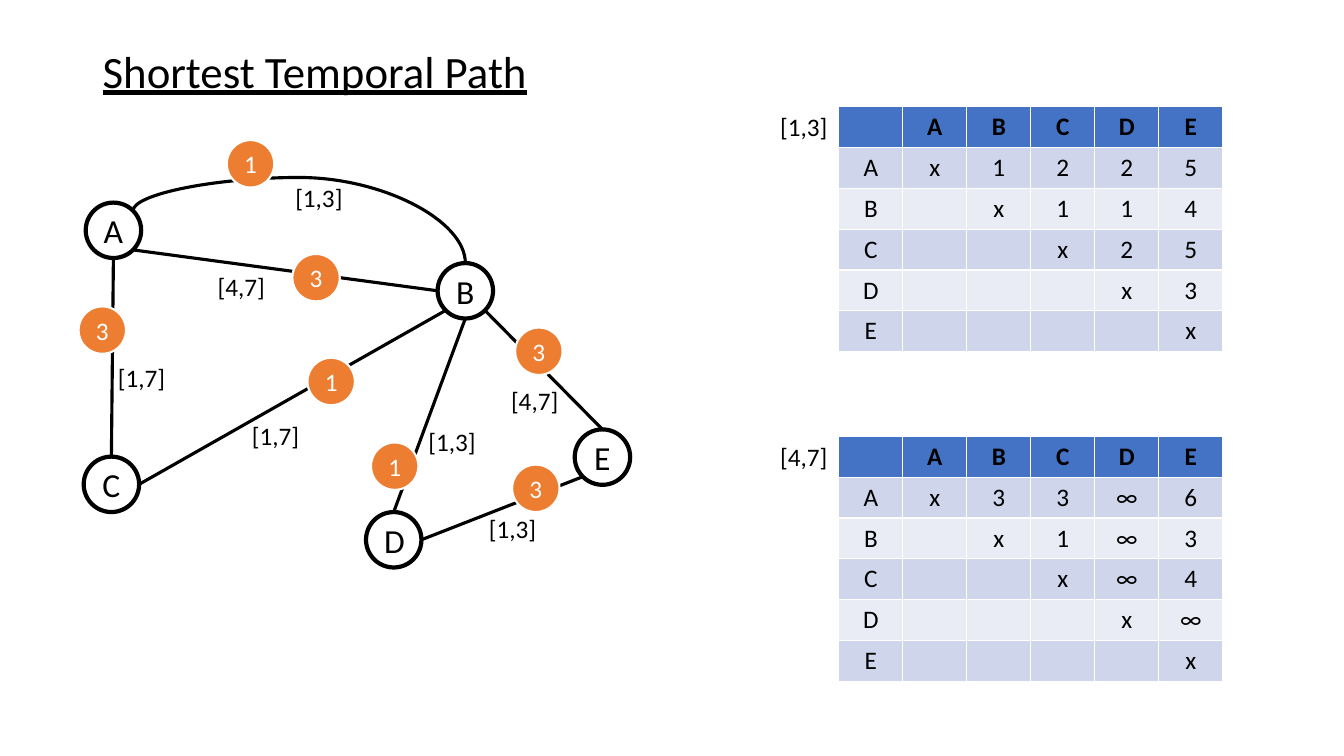
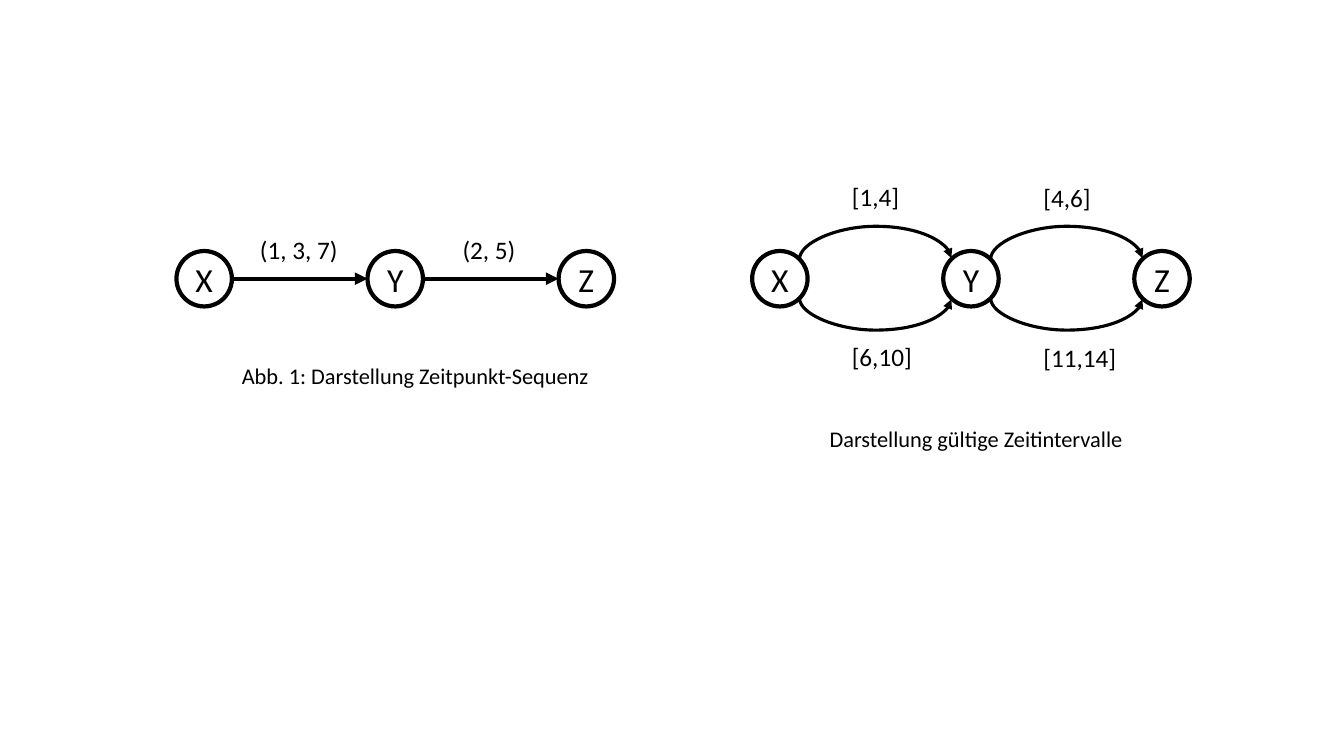
"""Build two slides on temporal graphs: shortest paths and time notations."""
from dataclasses import dataclass
from math import copysign
from typing import Dict, List, NamedTuple, Optional, Tuple

from lxml.etree import SubElement
from pptx import Presentation
from pptx.dml.color import RGBColor
from pptx.enum.shapes import MSO_CONNECTOR as CONN, MSO_SHAPE as SHAPE
from pptx.enum.text import MSO_ANCHOR as ANCHOR, MSO_AUTO_SIZE as AUTO, PP_ALIGN as ALIGN
from pptx.oxml.ns import qn
from pptx.util import Inches, Pt

COLORS: Dict[str, str] = {
    "ink": "000000", "paper": "FFFFFF", "cost": "ED7D31",
    "header": "4472C4", "band_dark": "CFD5EA", "band_light": "E9EBF5",
}
FONT = "Calibri"
NODE_SIZE, COST_SIZE = 0.55, 0.47
TABLE_LEFT, TABLE_WIDTH, TABLE_HEIGHT = 8.32, 3.81, 2.43
RADIUS = NODE_SIZE / 2
DIAGONAL = RADIUS * 0.5 ** 0.5
SITES: List[Tuple[float, float]] = [
    (0, -RADIUS), (-DIAGONAL, -DIAGONAL), (-RADIUS, 0), (-DIAGONAL, DIAGONAL),
    (0, RADIUS), (DIAGONAL, DIAGONAL), (RADIUS, 0), (DIAGONAL, -DIAGONAL),
]
TOP, TOP_LEFT, LEFT, BOTTOM_LEFT, BOTTOM, BOTTOM_RIGHT, RIGHT, TOP_RIGHT = range(8)


class Circle(NamedTuple):
    text: str
    x: float
    y: float


class Label(NamedTuple):
    text: str
    x: float
    y: float
    width: float = 0.68
    size: int = 18


@dataclass(frozen=True)
class Edge:
    start: str
    start_site: int
    end: str
    end_site: int
    peak: Optional[float] = None
    width: float = 2.25
    arrow: bool = False


class Matrix(NamedTuple):
    interval: str
    top: float
    rows: Tuple[str, ...]


def rgb(name: str) -> RGBColor:
    return RGBColor.from_string(COLORS[name])


def set_font(p, size: int, color: str = "ink", bold: bool = False) -> None:
    p.font.name, p.font.size, p.font.bold = FONT, Pt(size), bold
    p.font.color.rgb = rgb(color)


def add_title(slide, text: str) -> None:
    tf = slide.shapes.add_textbox(Inches(0.92), Inches(0.4), Inches(11.5), Inches(0.66)).text_frame
    tf.word_wrap, tf.vertical_anchor = True, ANCHOR.MIDDLE
    p = tf.paragraphs[0]
    p.text, p.line_spacing = text, 0.9
    set_font(p, 32)
    p.font.underline = True


def add_label(slide, label: Label) -> None:
    height = 0.4 if label.size == 18 else 0.37
    tf = slide.shapes.add_textbox(
        Inches(label.x), Inches(label.y), Inches(label.width), Inches(height)).text_frame
    tf.word_wrap, tf.auto_size = False, AUTO.SHAPE_TO_FIT_TEXT
    p = tf.paragraphs[0]
    p.text = label.text
    set_font(p, label.size)


def add_circle(slide, circle: Circle, size: float, fill: str, line: str,
               line_width: float, font_size: int):
    sp = slide.shapes.add_shape(SHAPE.FLOWCHART_CONNECTOR, Inches(circle.x), Inches(circle.y),
                                Inches(size), Inches(size))
    sp.shadow.inherit = False
    sp.fill.solid()
    sp.fill.fore_color.rgb = rgb(fill)
    sp.line.color.rgb, sp.line.width = rgb(line), Pt(line_width)
    tf = sp.text_frame
    tf.vertical_anchor = ANCHOR.MIDDLE
    p = tf.paragraphs[0]
    p.text, p.alignment = circle.text, ALIGN.CENTER
    set_font(p, font_size, line)
    return sp


def add_cost(slide, cost: Circle) -> None:
    add_circle(slide, cost, COST_SIZE, "cost", "paper", 1.5, 18)


def site_point(node: Circle, site: int) -> Tuple[float, float]:
    dx, dy = SITES[site]
    return node.x + RADIUS + dx, node.y + RADIUS + dy


def add_bow(slide, x1: float, y1: float, x2: float, y2: float, peak: float):
    if abs(y2 - y1) < 0.01:
        y2 = y1 + copysign(0.01, peak - y1)
    w, h = abs(y2 - y1), abs(x2 - x1)
    left, top = (x1 + x2 - w) / 2, (y1 + y2 - h) / 2
    cx = slide.shapes.add_connector(CONN.CURVE, Inches(left), Inches(top),
                                    Inches(left + w), Inches(top + h))
    xfrm = cx._element.spPr.find(qn("a:xfrm"))
    xfrm.set("flipH", "1")
    xfrm.set("rot", str((270 if y2 > y1 else 90) * 60000))
    if y2 < y1:
        xfrm.set("flipV", "1")
    adjust = round((peak - y1) / (y2 - y1) * 100000)
    guides = cx._element.spPr.find(qn("a:prstGeom")).find(qn("a:avLst"))
    SubElement(guides, qn("a:gd"), name="adj1", fmla=f"val {adjust}")
    return cx


def add_edge(slide, edge: Edge, nodes: Dict[str, Circle], shapes: Dict) -> None:
    x1, y1 = site_point(nodes[edge.start], edge.start_site)
    x2, y2 = site_point(nodes[edge.end], edge.end_site)
    if edge.peak is None:
        cx = slide.shapes.add_connector(CONN.STRAIGHT, Inches(x1), Inches(y1),
                                        Inches(x2), Inches(y2))
    else:
        cx = add_bow(slide, x1, y1, x2, y2, edge.peak)
    glue = cx._element.nvCxnSpPr.cNvCxnSpPr
    for tag, name, site in (("a:stCxn", edge.start, edge.start_site),
                            ("a:endCxn", edge.end, edge.end_site)):
        SubElement(glue, qn(tag), id=str(shapes[name].shape_id), idx=str(site))
    cx.line.color.rgb, cx.line.width = rgb("ink"), Pt(edge.width)
    if edge.arrow:
        SubElement(cx.line._get_or_add_ln(), qn("a:tailEnd"), type="triangle")
    SubElement(cx._element.spPr, qn("a:effectLst"))


def add_graph(slide, nodes: List[Circle], edges: List[Edge]) -> None:
    shapes = {n.text: add_circle(slide, n, NODE_SIZE, "paper", "ink", 3, 24) for n in nodes}
    by_name = {n.text: n for n in nodes}
    for edge in edges:
        add_edge(slide, edge, by_name, shapes)


def add_matrix(slide, matrix: Matrix, names: str) -> None:
    count = len(names) + 1
    table = slide.shapes.add_table(count, count, Inches(TABLE_LEFT), Inches(matrix.top),
                                   Inches(TABLE_WIDTH), Inches(TABLE_HEIGHT)).table
    grid = [" " + names] + [n + row.rjust(len(names)) for n, row in zip(names, matrix.rows)]
    for i, row in enumerate(grid):
        fill = "header" if i == 0 else "band_dark" if i % 2 else "band_light"
        for j, value in enumerate(row):
            cell = table.cell(i, j)
            cell.fill.solid()
            cell.fill.fore_color.rgb = rgb(fill)
            p = cell.text_frame.paragraphs[0]
            p.text, p.alignment = value.strip(), ALIGN.CENTER
            set_font(p, 18, bold=i == 0)
    add_label(slide, Label(matrix.interval, 7.64, matrix.top))


MATRICES = [
    Matrix("[1,3]", 1.06, ("x1225", "x114", "x25", "x3", "x")),
    Matrix("[4,7]", 4.33, ("x33∞6", "x1∞3", "x∞4", "x∞", "x")),
]
PATH_NODES = [Circle("A", 0.85, 2.01), Circle("B", 4.34, 2.61), Circle("C", 0.83, 4.53),
              Circle("D", 3.63, 5.08), Circle("E", 5.7, 4.26)]
PATH_EDGES = [
    Edge("A", BOTTOM_RIGHT, "B", LEFT), Edge("A", BOTTOM, "C", TOP),
    Edge("C", RIGHT, "B", BOTTOM_LEFT), Edge("B", BOTTOM_RIGHT, "E", TOP),
    Edge("B", BOTTOM, "D", TOP), Edge("E", BOTTOM_LEFT, "D", RIGHT),
    Edge("A", TOP_RIGHT, "B", TOP, peak=1.76),
]
PATH_LABELS = [
    Label("[1,3]", 4.15, 4.18), Label("[1,3]", 4.75, 5.04), Label("[1,3]", 2.83, 1.76),
    Label("[4,7]", 2.06, 2.64), Label("[4,7]", 4.97, 3.77), Label("[1,7]", 2.4, 4.12),
    Label("[1,7]", 1.07, 3.55),
]
COSTS = [
    Circle("1", 2.25, 1.39), Circle("3", 5.08, 4.61), Circle("1", 3.68, 4.39),
    Circle("3", 5.11, 3.25), Circle("3", 2.9, 2.52), Circle("1", 3.05, 3.55),
    Circle("3", 0.78, 3.04),
]
HOPS = ("XY", "YZ")
SEQUENCE_EDGES = [Edge(a, RIGHT, b, LEFT, width=3, arrow=True) for a, b in HOPS]
INTERVAL_EDGES = [
    Edge(a, start, b, end, peak, arrow=True)
    for start, end, peak in ((TOP_RIGHT, TOP_LEFT, 2.24), (BOTTOM_RIGHT, BOTTOM_LEFT, 3.28))
    for a, b in HOPS
]
NOTATION_LABELS = [
    Label("(1, 3, 7)", 2.48, 2.28, 0.98), Label("(2, 5)", 4.49, 2.28, 0.73),
    Label("[1,4]", 8.35, 1.75), Label("[4,6]", 10.25, 1.76),
    Label("[6,10]", 8.35, 3.34, 0.8), Label("[11,14]", 10.25, 3.35, 0.93),
    Label("Abb. 1: Darstellung Zeitpunkt-Sequenz", 2.3, 3.54, 3.69, 16),
    Label("Darstellung gültige Zeitintervalle", 8.13, 4.17, 3.14, 16),
]


def build_path_slide(slide) -> None:
    add_title(slide, "Shortest Temporal Path")
    for matrix in MATRICES:
        add_matrix(slide, matrix, "ABCDE")
    add_graph(slide, PATH_NODES, PATH_EDGES)
    for label in PATH_LABELS:
        add_label(slide, label)
    for cost in COSTS:
        add_cost(slide, cost)


def build_notation_slide(slide) -> None:
    for left, edges in ((1.75, SEQUENCE_EDGES), (7.46, INTERVAL_EDGES)):
        nodes = [Circle(name, left + 1.895 * i, 2.49) for i, name in enumerate("XYZ")]
        add_graph(slide, nodes, edges)
    for label in NOTATION_LABELS:
        add_label(slide, label)


def main() -> None:
    prs = Presentation()
    prs.slide_width, prs.slide_height = Inches(13.33), Inches(7.5)
    for build in (build_path_slide, build_notation_slide):
        build(prs.slides.add_slide(prs.slide_layouts[6]))
    prs.save("out.pptx")


main()
